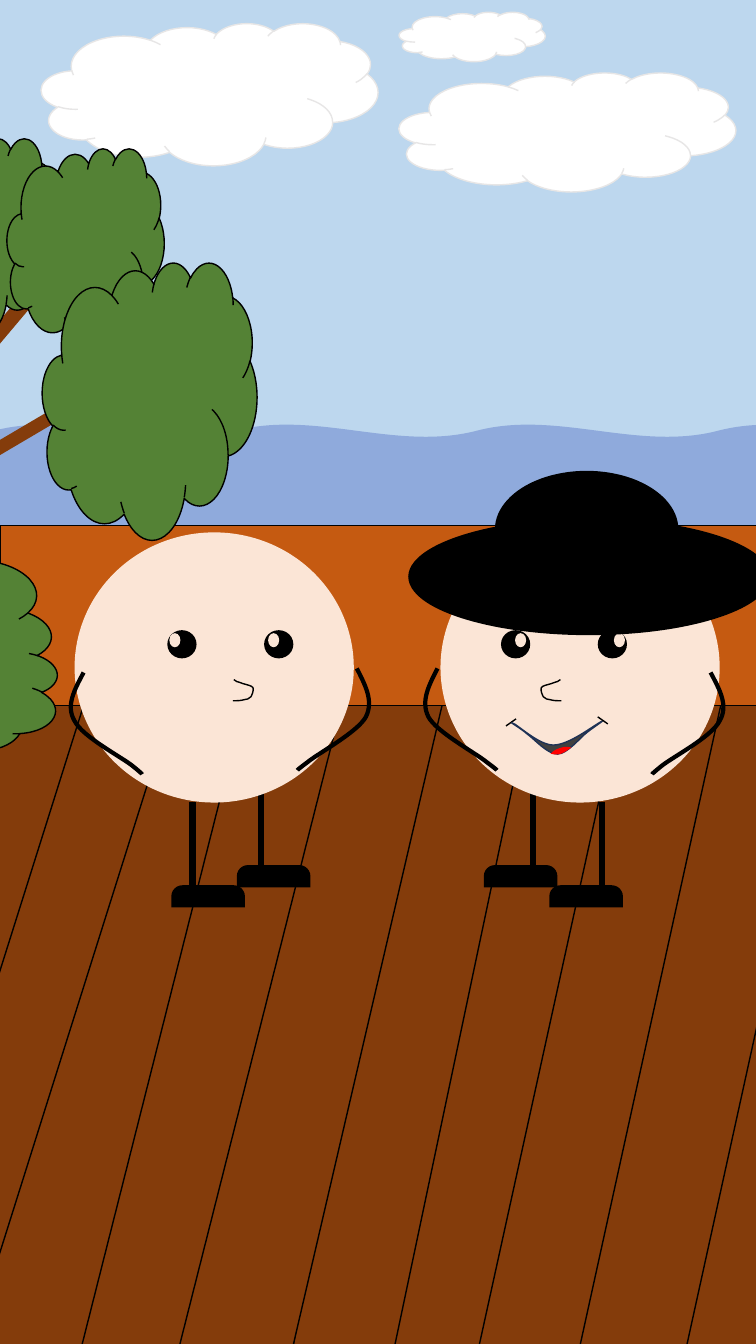
from dataclasses import dataclass

from lxml.etree import SubElement
from pptx import Presentation
from pptx.dml.color import RGBColor
from pptx.enum.shapes import MSO_CONNECTOR, MSO_SHAPE
from pptx.oxml.ns import qn
from pptx.oxml.xmlchemy import OxmlElement
from pptx.shapes.shapetree import GroupShapes, SlideShapes
from pptx.util import Cm, Pt

Pane = GroupShapes | SlideShapes
Point = tuple[float, float]

BLACK, SKIN, WOOD, LEAF, WHITE = "000000", "FBE5D6", "843C0B", "548235", "FFFFFF"
AXIS = 7.88  # sum of the x values of a point and its mirror twin


@dataclass
class Form:
    left: float
    top: float
    wide: float
    high: float
    turn: float = 0


@dataclass
class Curve:
    """A start point followed by three points for each cubic bend."""
    points: list[Point]
    width: float = 1


def inch(value: float) -> Cm:
    return Cm(value * 2.54)


def paint(target, color: str) -> None:
    """Give a fill one solid colour, or none for an empty string."""
    if color:
        target.solid()
        target.fore_color.rgb = RGBColor.from_string(color)
    else:
        target.background()


def style(shape, fill: str, line: str, width: float = 1) -> None:
    shape.shadow.inherit = False
    paint(shape.fill, fill)
    paint(shape.line.fill, line)
    if line:
        shape.line.width = Pt(width)


def draw(pane: Pane, kind: MSO_SHAPE, form: Form, fill: str, line: str = "",
         flip: bool = False):
    left = AXIS - form.left - form.wide if flip else form.left
    shape = pane.add_shape(kind, *map(inch, (left, form.top, form.wide, form.high)))
    shape.rotation = form.turn
    style(shape, fill, line)
    return shape


def rule(pane: Pane, start: Point, end: Point, width: float = 1) -> None:
    """Draw a straight black line."""
    link = pane.add_connector(MSO_CONNECTOR.STRAIGHT, *map(inch, start + end))
    paint(link.line.fill, BLACK)
    link.line.width = Pt(width)
    link._element.spPr.append(OxmlElement("a:effectLst"))


def span(values: list[float], steps: int = 20) -> tuple[float, float]:
    """Return the least and greatest value that the bends reach on one axis."""
    reach = []
    for index in range(0, len(values) - 1, 3):
        a, b, c, d = values[index:index + 4]
        for step in range(steps + 1):
            t = step / steps
            u = 1 - t
            reach.append(a * u ** 3 + 3 * b * t * u * u + 3 * c * t * t * u + d * t ** 3)
    return min(reach), max(reach)


def trace(pane: Pane, curve: Curve, fill: str = "", line: str = BLACK,
          flip: bool = False, close: bool = False):
    """Draw a curve as a freeform with cubic bends."""
    nodes = [(inch(AXIS - x if flip else x), inch(y)) for x, y in curve.points]
    left, right = span([x for x, _ in nodes])
    top, low = span([y for _, y in nodes])
    pen = pane.build_freeform(round(left), round(top), scale=1.0)
    pen.add_line_segments([(round(right), round(low))], close=False)
    shape = pen.convert_to_shape()
    route = shape._element.xpath(".//a:path")[0]
    for child in list(route):
        route.remove(child)
    for index, (x, y) in enumerate(nodes):
        if index == 0:
            part = SubElement(route, qn("a:moveTo"))
        elif index % 3 == 1:
            part = SubElement(route, qn("a:cubicBezTo"))
        SubElement(part, qn("a:pt"), x=str(round(x - left)), y=str(round(y - top)))
    if close:
        SubElement(route, qn("a:close"))
    style(shape, fill, line, curve.width)
    return shape


PLANKS = [
    Form(3.45, 6.87, 1.35, 7.34, 10.7), Form(4.46, 6.8, 1.02, 8.04, 11.9),
    Form(5.36, 6.76, 1.07, 7.77, 12.4), Form(2.46, 6.68, 1.12, 7.43, 13.1),
    Form(0.58, 6.76, 1.04, 6.81, 14.3), Form(1.6, 6.53, 0.94, 7.52, 14.2),
    Form(-0.77, 6.51, 0.81, 6.37, 16.2), Form(-0.07, 6.73, 0.84, 6.37, 17.5),
    Form(6.33, 6.9, 1.07, 7.77, 12.4), Form(7.27, 7.44, 1.07, 7.77, 12.4),
]
CLOUDS = [Form(0.41, 0.23, 3.34, 1.41), Form(3.96, 0.72, 3.34, 1.18),
          Form(3.96, 0.12, 1.45, 0.49)]
TWIGS = [Form(-0.11, 3.4, 0.13, 2.13, 59.5), Form(-0.23, 2.41, 0.15, 2.13, 40.1)]
LEAVES = [Form(-0.97, 1.37, 1.56, 1.94), Form(0.07, 1.47, 1.56, 1.94),
          Form(0.42, 2.6, 2.13, 2.75)]
BUSH = Form(-1.85, 5.03, 2.13, 2.75, 92.7)
HAT = [Form(4.91, 4.67, 1.82, 1.16), Form(4.05, 5.14, 3.59, 1.16)]

LEGS = [(1.91, 7.95, 8.9), (2.59, 7.8, 8.76)]
SHOES = [Form(2.35, 8.58, 0.73, 0.22), Form(1.7, 8.78, 0.73, 0.22)]
EYES = [Form(left, 6.25, 0.29, 0.28) for left in (1.66, 2.62)]
GLINTS = [Form(left, 6.28, 0.11, 0.14) for left in (1.68, 2.66)]
LIMBS = [
    Curve([(0.83, 6.67), (0.74, 6.84), (0.65, 7), (0.74, 7.15), (0.82, 7.31),
           (1.21, 7.51), (1.32, 7.6), (1.43, 7.69), (1.41, 7.68), (1.41, 7.68)], 3),
    Curve([(3.54, 6.63), (3.62, 6.79), (3.71, 6.95), (3.63, 7.11), (3.55, 7.26),
           (3.16, 7.47), (3.05, 7.56), (2.93, 7.65), (2.95, 7.64), (2.95, 7.64)], 3),
]
NOSE = Curve([(2.32, 6.74), (2.33, 6.75), (2.33, 6.75), (2.35, 6.76), (2.36, 6.76),
              (2.38, 6.77), (2.41, 6.78), (2.44, 6.79), (2.5, 6.8), (2.51, 6.82),
              (2.52, 6.85), (2.5, 6.89), (2.49, 6.91), (2.47, 6.93), (2.45, 6.94),
              (2.42, 6.94), (2.39, 6.95), (2.35, 6.95), (2.31, 6.95)])
LIPS = Curve([(5.08, 7.17), (5.13, 7.18), (5.34, 7.39), (5.49, 7.39), (5.64, 7.39),
              (5.87, 7.21), (5.96, 7.16), (6.03, 7.12), (5.88, 7.22), (5.83, 7.26),
              (5.76, 7.31), (5.63, 7.48), (5.53, 7.48), (5.43, 7.48), (5.3, 7.33),
              (5.23, 7.28), (5.16, 7.22), (5.04, 7.15), (5.08, 7.17)])
TONGUE = Curve([(5.6, 7.41), (5.62, 7.41), (5.64, 7.41), (5.67, 7.42), (5.63, 7.45),
                (5.57, 7.48), (5.54, 7.48), (5.52, 7.48), (5.49, 7.48), (5.46, 7.47),
                (5.5, 7.43), (5.54, 7.42), (5.6, 7.41)])


def scene(pane: Pane) -> None:
    """Draw sky, sea, deck and tree."""
    draw(pane, MSO_SHAPE.RECTANGLE, Form(0, 0, 7.5, 13.33), "BDD7EE")
    for cloud in CLOUDS:
        draw(pane, MSO_SHAPE.CLOUD, cloud, WHITE, "E7E6E6")
    for left, top in ((-0.06, 4.21), (-0.9, 4.5)):
        sea = pane.add_group_shape().shapes
        for index in range(2):
            wave = Form(left + 4.79 * index, top, 4.79, 1)
            draw(sea, MSO_SHAPE.DOUBLE_WAVE, wave, "8FAADC")
    for plank in PLANKS:
        draw(pane, MSO_SHAPE.RECTANGLE, plank, WOOD, BLACK)
    draw(pane, MSO_SHAPE.RECTANGLE, Form(0, 5.21, 7.52, 1.79), "C55A11", BLACK)
    for twig in TWIGS:
        draw(pane, MSO_SHAPE.CAN, twig, WOOD)
    for leaf in LEAVES:
        draw(pane, MSO_SHAPE.CLOUD, leaf, LEAF, BLACK)


def person(pane: Pane, flip: bool) -> None:
    """Draw one round figure, facing left if flipped."""
    body = pane.add_group_shape().shapes
    for x, top, low in LEGS:
        spot = AXIS - x if flip else x
        rule(body, (spot, top), (spot, low), 4.5)
    draw(body, MSO_SHAPE.OVAL, Form(0.74, 5.28, 2.77, 2.68), SKIN, flip=flip)
    for form in SHOES:
        shoe = draw(body, MSO_SHAPE.ROUND_2_SAME_RECTANGLE, form, BLACK, flip=flip)
        shoe.adjustments[0] = 0.5
    for curve in [*LIMBS, NOSE]:
        trace(body, curve, flip=flip)
    for forms, color in ((EYES, BLACK), (GLINTS, SKIN)):
        for form in forms:
            draw(body, MSO_SHAPE.OVAL, form, color, flip=flip)


def smile(pane: Pane) -> None:
    mouth = pane.add_group_shape().shapes
    rule(mouth, (5.12, 7.13), (5.02, 7.2))
    trace(mouth, LIPS, "404040", "1E3256", close=True)
    trace(mouth, TONGUE, "FF0000", "", close=True).rotation = 356.2
    rule(mouth, (5.93, 7.11), (6.03, 7.18))


def main() -> None:
    deck = Presentation()
    deck.slide_width, deck.slide_height = inch(7.5), inch(13.33)
    pane = deck.slides.add_slide(deck.slide_layouts[6]).shapes
    scene(pane)
    person(pane, flip=True)
    hat = pane.add_group_shape().shapes
    for form in HAT:
        draw(hat, MSO_SHAPE.OVAL, form, BLACK)
    smile(pane)
    person(pane, flip=False)
    draw(pane, MSO_SHAPE.CLOUD, BUSH, LEAF, BLACK)
    deck.save("out.pptx")


if __name__ == "__main__":
    main()
